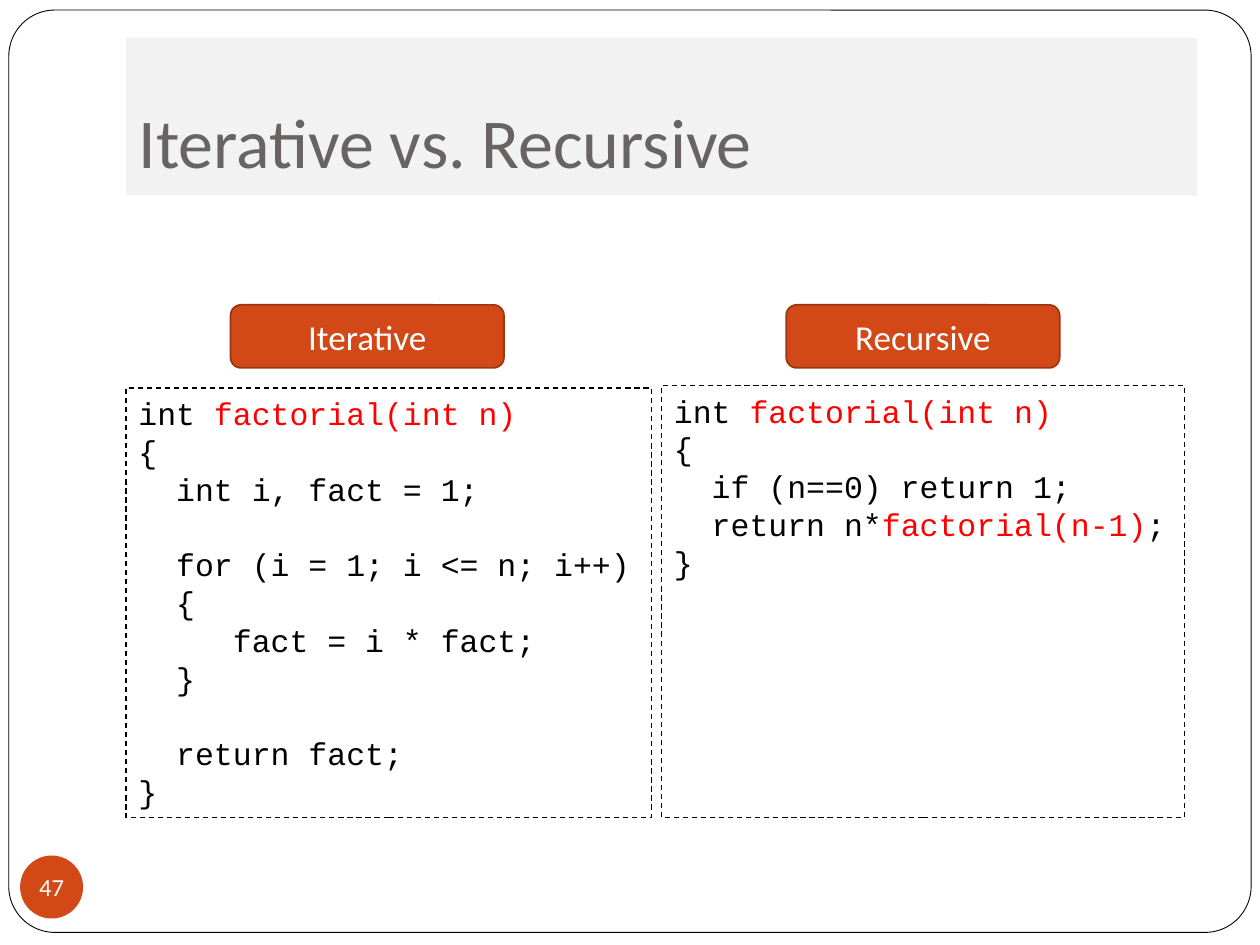
from pptx import Presentation
from pptx.dml.color import RGBColor
from pptx.enum import dml, shapes, text
from pptx.util import Inches, Pt

ITERATIVE = [
    "int |factorial(int n)",
    "{",
    "  int i, fact = 1;",
    " ",
    "  for (i = 1; i <= n; i++)",
    "  {",
    "     fact = i * fact;",
    "  }",
    " ",
    "  return fact;",
    "}",
]
RECURSIVE = [
    "int |factorial(int n)",
    "{",
    "  if (n==0) return 1;",
    "  return n*|factorial(n-1)|;",
    "}",
]


def colour(value):
    return RGBColor.from_string(value)


def style(run, size, face, value):
    run.font.size = Pt(size)
    run.font.name = face
    run.font.color.rgb = colour(value)


def panel(slide, preset, box, fill=None, line=None, width=1):
    part = slide.shapes.add_shape(preset, *map(Inches, box))
    part.shadow.inherit = False
    if fill:
        part.fill.solid()
        part.fill.fore_color.rgb = colour(fill)
    else:
        part.fill.background()
    if line:
        part.line.color.rgb = colour(line)
        part.line.width = Pt(width)
    else:
        part.line.fill.background()
    return part


def add_frame(slide, box):
    frame = panel(slide, shapes.MSO_SHAPE.ROUNDED_RECTANGLE, box, "FFFFFF", "000000", 0.5)
    frame.adjustments[0] = 0.05
    slide.shapes._spTree.insert(2, frame._element)


def add_title(slide, box, wording):
    title = slide.shapes.title
    title.left, title.top, title.width, title.height = map(Inches, box)
    title.fill.solid()
    title.fill.fore_color.rgb = colour("F2F2F2")
    body = title.text_frame
    body.text = wording
    body.auto_size = text.MSO_AUTO_SIZE.NONE
    body.vertical_anchor = text.MSO_ANCHOR.BOTTOM
    body.margin_bottom = Inches(0.1)
    body.paragraphs[0].alignment = text.PP_ALIGN.LEFT
    style(body.paragraphs[0].runs[0], 40, "Calibri", "696464")


def add_label(slide, preset, box, wording, size, line=None):
    label = panel(slide, preset, box, "D34817", line)
    body = label.text_frame
    body.text = wording
    body.vertical_anchor = text.MSO_ANCHOR.MIDDLE
    body.paragraphs[0].alignment = text.PP_ALIGN.CENTER
    style(body.paragraphs[0].runs[0], size, "Calibri", "FFFFFF")
    return body


def add_page_number(slide, box, number):
    body = add_label(slide, shapes.MSO_SHAPE.OVAL, box, number, 14)
    body.word_wrap = False
    body.margin_left = body.margin_right = body.margin_top = body.margin_bottom = 0


def add_code(slide, box, lines):
    listing = panel(slide, shapes.MSO_SHAPE.RECTANGLE, box, line="000000", width=0.75)
    listing.line.dash_style = dml.MSO_LINE.DASH
    body = listing.text_frame
    body.word_wrap = True
    body.vertical_anchor = text.MSO_ANCHOR.TOP
    for index, line in enumerate(lines):
        paragraph = body.add_paragraph() if index else body.paragraphs[0]
        paragraph.alignment = text.PP_ALIGN.LEFT
        for position, piece in enumerate(line.split("|")):
            run = paragraph.add_run()
            run.text = piece
            style(run, 18, "Courier New", "FF0000" if position % 2 else "000000")


def add_version(slide, box, heading, heading_left, lines):
    add_code(slide, box, lines)
    add_label(slide, shapes.MSO_SHAPE.ROUNDED_RECTANGLE,
              (heading_left, 2.42, 2.17, 0.5), heading, 20, "9C3511")


def main():
    deck = Presentation()
    deck.slide_width, deck.slide_height = Inches(10), Inches(7.5)
    slide = deck.slides.add_slide(deck.slide_layouts[5])
    add_frame(slide, (0.07, 0.08, 9.86, 7.32))
    add_title(slide, (1, 0.3, 8.5, 1.25), "Iterative vs. Recursive")
    add_page_number(slide, (0.16, 6.79, 0.5, 0.5), "47")
    add_version(slide, (1, 3.08, 4.17, 3.41), "Iterative", 1.83, ITERATIVE)
    add_version(slide, (5.25, 3.06, 4.15, 3.43), "Recursive", 6.24, RECURSIVE)
    deck.save("out.pptx")


if __name__ == "__main__":
    main()
